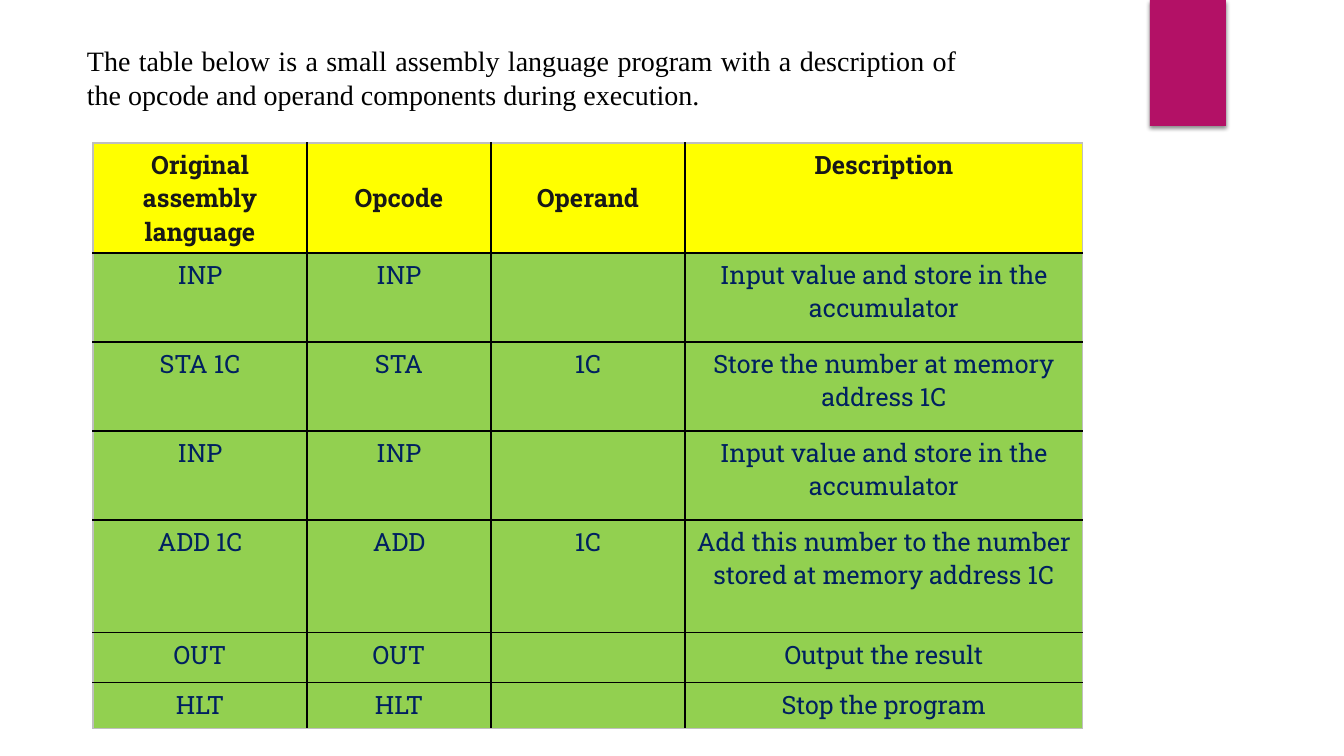
from dataclasses import dataclass

from pptx import Presentation
from pptx.dml.color import RGBColor
from pptx.enum.shapes import MSO_SHAPE
from pptx.enum.text import MSO_ANCHOR, PP_ALIGN
from pptx.oxml import parse_xml
from pptx.oxml.ns import nsdecls
from pptx.util import Pt

RECT = MSO_SHAPE.RECTANGLE
CENTER, JUSTIFY = PP_ALIGN.CENTER, PP_ALIGN.JUSTIFY
MIDDLE = MSO_ANCHOR.MIDDLE


@dataclass(frozen=True)
class Theme:
    accent: str = "B31166"
    header_fill: str = "FFFF00"
    body_fill: str = "92D050"
    header_text: str = "181818"
    body_text: str = "002060"
    black: str = "000000"
    frame: str = "BFBFBF"
    table_font: str = "Roboto Slab"
    intro_font: str = "Times New Roman"
    table_size: int = 18
    intro_size: int = 20
    border: int = 1


THEME = Theme()

INTRO = ("The table below is a small assembly language program with a description "
         "of the opcode and operand components during execution.")
PROGRAM = [
    ("Original assembly language", "Opcode", "Operand", "Description"),
    ("INP", "INP", "", "Input value and store in the accumulator"),
    ("STA 1C", "STA", "1C", "Store the number at memory address 1C"),
    ("INP", "INP", "", "Input value and store in the accumulator"),
    ("ADD 1C", "ADD", "1C", "Add this number to the number stored at memory address 1C"),
    ("OUT", "OUT", "", "Output the result"),
    ("HLT", "HLT", "", "Stop the program"),
]
COL_WIDTHS = [214, 184, 194, 398]
ROW_HEIGHTS = [104, 89, 89, 89, 113, 50, 46]


def px(n):
    return round(n * 914400 / 100.8)


def rgb(color):
    return RGBColor.from_string(color)


def style_text(p, align, font, size, color, bold=False):
    p.alignment = align
    for r in p.runs:
        r.font.name = font
        r.font.size = Pt(size)
        r.font.bold = bold
        r.font.color.rgb = rgb(color)


def set_border(cell, side, color):
    line = parse_xml(
        f'<a:{side} {nsdecls("a")} w="{Pt(THEME.border)}"><a:solidFill>'
        f'<a:srgbClr val="{color}"/></a:solidFill></a:{side}>')
    # Border lines come before the fill, in left, right, top, bottom order
    tc_pr = cell._tc.get_or_add_tcPr()
    tc_pr.insert(("lnL", "lnR", "lnT", "lnB").index(side), line)


def add_accent(s, x, y, w, h):
    bar = s.shapes.add_shape(RECT, px(x), px(y), px(w), px(h))
    bar.fill.solid()
    bar.fill.fore_color.rgb = rgb(THEME.accent)
    bar.line.fill.background()
    # Soft shadow straight below the bar
    bar._element.spPr.append(parse_xml(
        f'<a:effectLst {nsdecls("a")}>'
        f'<a:outerShdw blurRad="{Pt(3)}" dist="{Pt(2)}" dir="5400000" rotWithShape="0">'
        f'<a:srgbClr val="{THEME.black}"><a:alpha val="45000"/></a:srgbClr>'
        '</a:outerShdw></a:effectLst>'))


def add_intro(s, x, y, w, h):
    tf = s.shapes.add_textbox(px(x), px(y), px(w), px(h)).text_frame
    tf.word_wrap = True
    tf.text = INTRO
    style_text(tf.paragraphs[0], JUSTIFY, THEME.intro_font, THEME.intro_size, THEME.black)


def fill_cell(cell, text, row, col):
    header = row == 0
    cell.fill.solid()
    cell.fill.fore_color.rgb = rgb(THEME.header_fill if header else THEME.body_fill)
    cell.text_frame.text = text
    style_text(cell.text_frame.paragraphs[0], CENTER, THEME.table_font, THEME.table_size,
               THEME.header_text if header else THEME.body_text, header)
    if header and col in (1, 2):
        cell.vertical_anchor = MIDDLE
        cell.margin_left = cell.margin_right = px(3)
        cell.margin_top = cell.margin_bottom = px(3)
    # Grey outer frame, black inner grid
    outer = {"lnL": col == 0, "lnR": col == len(COL_WIDTHS) - 1,
             "lnT": header, "lnB": row == len(ROW_HEIGHTS) - 1}
    for side, on_edge in outer.items():
        set_border(cell, side, THEME.frame if on_edge else THEME.black)


def add_program_table(s, x, y):
    table = s.shapes.add_table(
        len(ROW_HEIGHTS), len(COL_WIDTHS), px(x), px(y),
        px(sum(COL_WIDTHS)), px(sum(ROW_HEIGHTS))).table
    table.horz_banding = False
    for column, width in zip(table.columns, COL_WIDTHS):
        column.width = px(width)
    for row, height in zip(table.rows, ROW_HEIGHTS):
        row.height = px(height)
    for i, texts in enumerate(PROGRAM):
        for j, text in enumerate(texts):
            fill_cell(table.cell(i, j), text, i, j)


def main():
    prs = Presentation()
    prs.slide_width, prs.slide_height = px(1344), px(756)
    s = prs.slides.add_slide(prs.slide_layouts[6])
    add_accent(s, 1150, 0, 76, 126)
    add_program_table(s, 93, 143)
    add_intro(s, 77, 39, 890, 78)
    prs.save("out.pptx")


if __name__ == "__main__":
    main()
